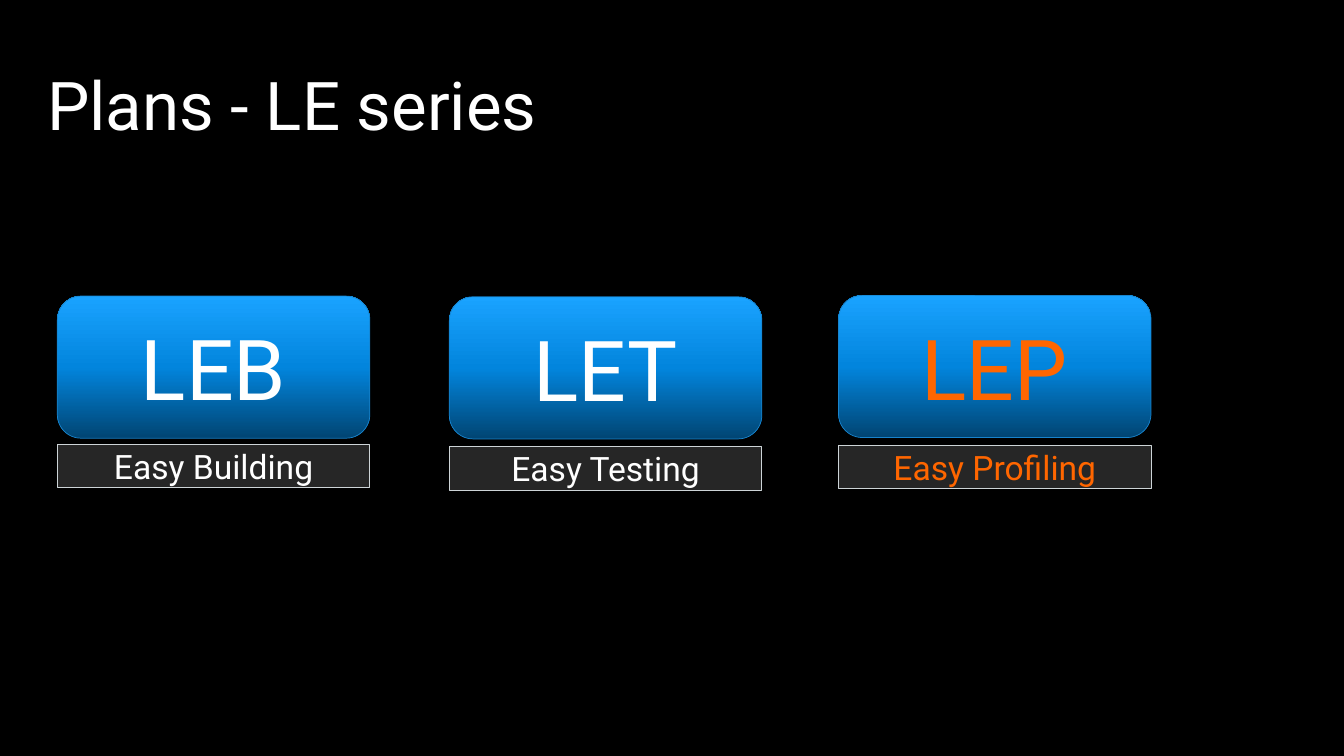
import copy
import pptx
import pptx.dml.color
import pptx.enum.shapes
import pptx.enum.text
import pptx.util

Pt = pptx.util.Pt
SHAPE = pptx.enum.shapes.MSO_SHAPE
ALIGN = pptx.enum.text.PP_ALIGN
FONT = "Roboto"
COLORS = {
    "back": "000000",
    "white": "FFFFFF",
    "orange": "FF6600",
    "deep": "014573",
    "mid": "0285DD",
    "light": "1AA3FF",
    "edge": "1884CD",
    "label": "262626",
    "rim": "CDD4D7",
}
PLANS = [
    ("LEB", "Easy Building", "white", 41, 211.5, 317.5),
    ("LET", "Easy Testing", "white", 321, 212, 319),
    ("LEP", "Easy Profiling", "orange", 599, 211, 318),
]
WIDTH = 223.2


def color(name):
    return pptx.dml.color.RGBColor.from_string(COLORS[name])


def write(shape, text, size, ink="white", align=ALIGN.CENTER):
    frame = shape.text_frame
    frame.word_wrap = True
    frame.vertical_anchor = pptx.enum.text.MSO_ANCHOR.MIDDLE
    para = frame.paragraphs[0]
    para.alignment = align
    run = para.add_run()
    run.text = text
    run.font.name = FONT
    run.font.size = Pt(size)
    run.font.color.rgb = color(ink)


def add_box(slide, kind, left, top, height, line):
    box = slide.shapes.add_shape(kind, Pt(left), Pt(top), Pt(WIDTH), Pt(height))
    box.shadow.inherit = False
    box.line.color.rgb = color(line)
    box.line.width = Pt(0.5)
    return box


def shade(shape, names):
    fill = shape.fill
    fill.gradient()
    fill.gradient_angle = 90
    first = shape.element.spPr.gradFill.gsLst[0]
    first.addnext(copy.deepcopy(first))
    for i, (stop, name) in enumerate(zip(fill.gradient_stops, names)):
        stop.position = i / (len(names) - 1)
        stop.color.rgb = color(name)


def add_title(slide, text):
    box = slide.shapes.add_textbox(Pt(26.6), Pt(32), Pt(864), Pt(84))
    write(box, text, size=48, align=ALIGN.LEFT)


def add_plan(slide, code, name, ink, left, top, base):
    tile = add_box(slide, SHAPE.FLOWCHART_ALTERNATE_PROCESS, left, top, 101.5, "edge")
    shade(tile, ["deep", "mid", "light"])
    write(tile, code, size=60, ink=ink)
    label = add_box(slide, SHAPE.RECTANGLE, left, base, 31, "rim")
    label.fill.solid()
    label.fill.fore_color.rgb = color("label")
    write(label, name, size=24, ink=ink)


def main():
    deck = pptx.Presentation()
    deck.slide_width, deck.slide_height = Pt(960), Pt(540)
    slide = deck.slides.add_slide(deck.slide_layouts[6])
    slide.background.fill.solid()
    slide.background.fill.fore_color.rgb = color("back")
    add_title(slide, "Plans - LE series")
    for plan in PLANS:
        add_plan(slide, *plan)
    deck.save("out.pptx")


if __name__ == "__main__":
    main()
